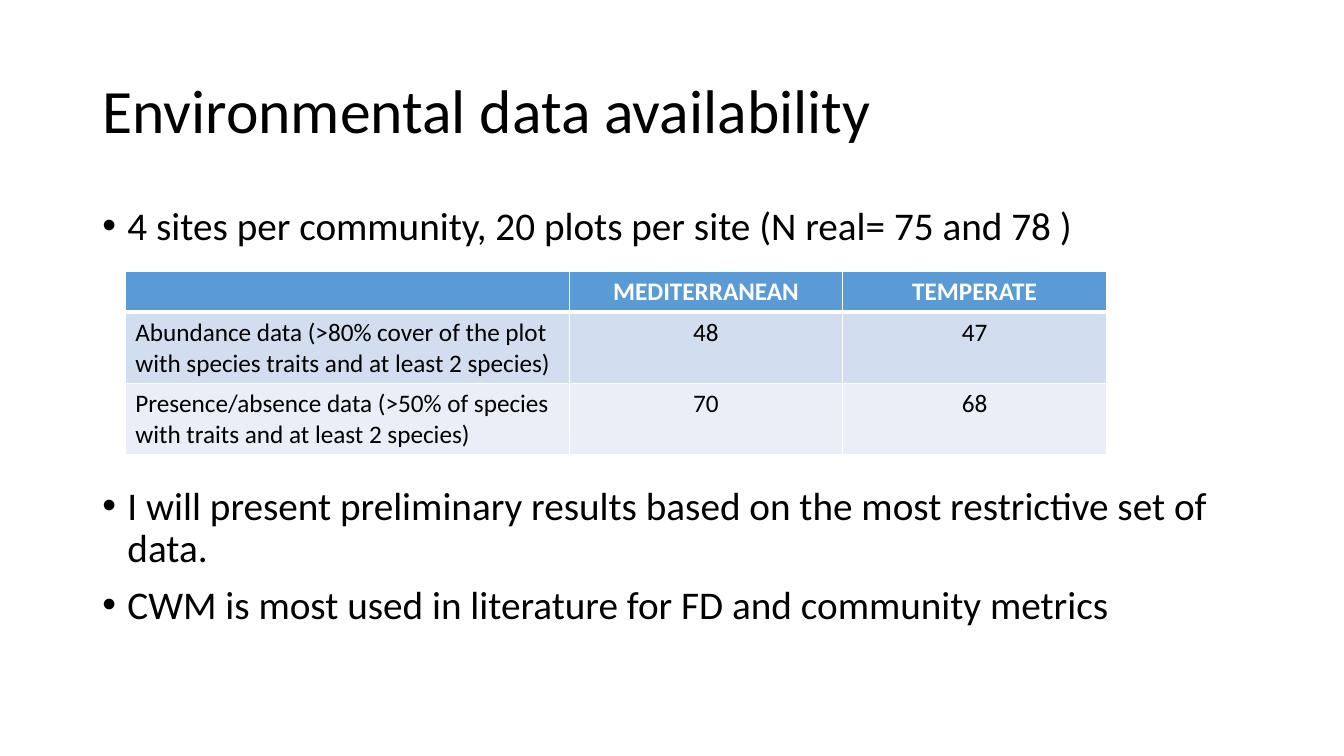
import dataclasses

import pptx
import pptx.dml.color
import pptx.enum.text
import pptx.oxml
import pptx.oxml.ns
import pptx.util
from lxml import etree

Pt = pptx.util.Pt
Align = pptx.enum.text.PP_ALIGN
Anchor = pptx.enum.text.MSO_ANCHOR


@dataclasses.dataclass(frozen=True)
class Theme:
    font: str = "Calibri"
    title_size: float = 44
    body_size: float = 28
    table_size: float = 18
    ink: str = "000000"
    paper: str = "FFFFFF"
    header_fill: str = "5B9BD5"
    band_fills: tuple = ("D2DEEF", "EAEFF7")
    line_spacing: float = 0.9
    bullet_indent: float = 18
    grid_line: float = 1
    header_line: float = 3


class SlideBuilder:
    def __init__(self, slide, theme):
        self.slide = slide
        self.theme = theme

    def add_run(self, paragraph, text, size, color, bold=False):
        run = paragraph.add_run()
        run.text = text
        run.font.name = self.theme.font
        run.font.size = Pt(size)
        run.font.bold = bold
        run.font.color.rgb = pptx.dml.color.RGBColor.from_string(color)

    def add_text_frame(self, box, anchor):
        frame = self.slide.shapes.add_textbox(*map(Pt, box)).text_frame
        frame.word_wrap = True
        frame.vertical_anchor = anchor
        return frame

    def add_title(self, text, box):
        heading = self.add_text_frame(box, Anchor.MIDDLE).paragraphs[0]
        heading.line_spacing = self.theme.line_spacing
        self.add_run(heading, text, self.theme.title_size, self.theme.ink)

    def add_bullets(self, points, box):
        """Write (text, space before in points) pairs as a bulleted list."""
        frame = self.add_text_frame(box, Anchor.TOP)
        for index, (text, space_before) in enumerate(points):
            point = frame.add_paragraph() if index else frame.paragraphs[0]
            properties = point._p.get_or_add_pPr()
            indent = Pt(self.theme.bullet_indent)
            properties.set("marL", str(indent))
            properties.set("indent", str(-indent))
            for tag, key, value in (("a:buFont", "typeface", "Arial"), ("a:buChar", "char", "•")):
                etree.SubElement(properties, pptx.oxml.ns.qn(tag)).set(key, value)
            point.line_spacing = self.theme.line_spacing
            if space_before:
                point.space_before = Pt(space_before)
            self.add_run(point, text, self.theme.body_size, self.theme.ink)

    def add_cell_borders(self, cell, top, bottom):
        side = self.theme.grid_line
        for edge, width in (("L", side), ("R", side), ("T", top), ("B", bottom)):
            cell._tc.get_or_add_tcPr().append(pptx.oxml.parse_xml(
                f'<a:ln{edge} {pptx.oxml.ns.nsdecls("a")} w="{Pt(width)}"><a:solidFill>'
                f'<a:srgbClr val="{self.theme.paper}"/></a:solidFill></a:ln{edge}>'))

    def add_table(self, rows, left, top, column_widths, row_heights):
        theme = self.theme
        table = self.slide.shapes.add_table(
            len(rows), len(column_widths), Pt(left), Pt(top),
            Pt(sum(column_widths)), Pt(sum(row_heights))).table
        for column, width in zip(table.columns, column_widths):
            column.width = Pt(width)
        for r, (values, height) in enumerate(zip(rows, row_heights)):
            table.rows[r].height = Pt(height)
            header = r == 0
            fill = theme.header_fill if header else theme.band_fills[(r - 1) % 2]
            for c, text in enumerate(values):
                cell = table.cell(r, c)
                self.add_cell_borders(
                    cell,
                    top=theme.header_line if r == 1 else theme.grid_line,
                    bottom=theme.header_line if header else theme.grid_line)
                cell.fill.solid()
                cell.fill.fore_color.rgb = pptx.dml.color.RGBColor.from_string(fill)
                paragraph = cell.text_frame.paragraphs[0]
                paragraph.alignment = Align.CENTER if c else Align.LEFT
                if text:
                    self.add_run(paragraph, text, theme.table_size,
                                 theme.paper if header else theme.ink, bold=header)


def main():
    deck = pptx.Presentation()
    deck.slide_width, deck.slide_height = Pt(960), Pt(540)
    builder = SlideBuilder(deck.slides.add_slide(deck.slide_layouts[6]), Theme())

    builder.add_bullets([
        ("4 sites per community, 20 plots per site (N real= 75 and 78 )", 0),
        ("I will present preliminary results based on the most restrictive set of data.", 170),
        ("CWM is most used in literature for FD and community metrics", 10),
    ], box=(66, 143.75, 828, 342.6))
    builder.add_title("Environmental data availability", box=(66, 28.75, 828, 104.4))
    builder.add_table([
        ("", "MEDITERRANEAN", "TEMPERATE"),
        ("Abundance data (>80% cover of the plot with species traits and at least 2 species)",
         "48", "47"),
        ("Presence/absence data (>50% of species with traits and at least 2 species)",
         "70", "68"),
    ], left=89.5, top=193.8, column_widths=(317.3, 195, 188.7), row_heights=(29.2, 51, 51))

    deck.save("out.pptx")


if __name__ == "__main__":
    main()
